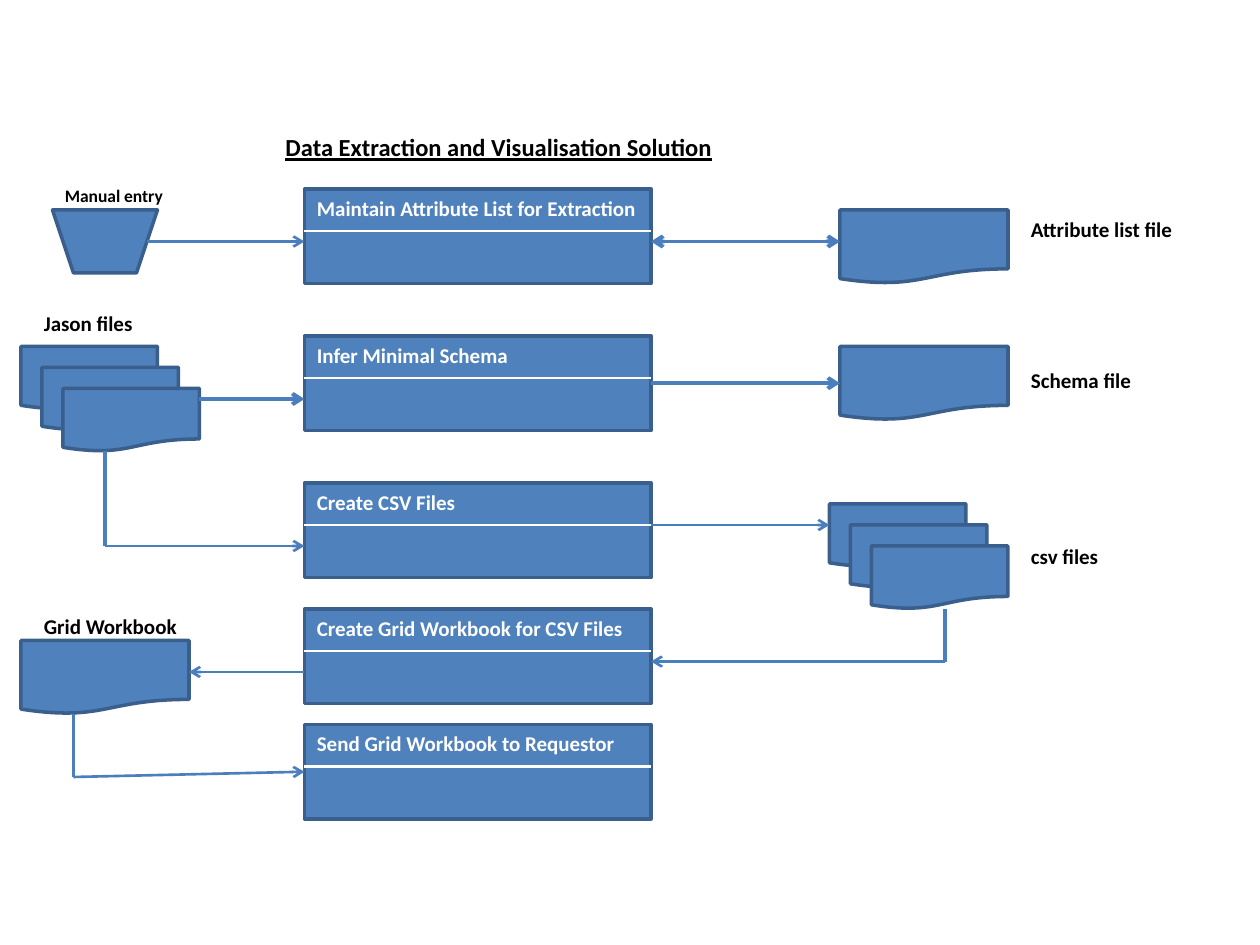
from dataclasses import dataclass

from lxml.etree import SubElement
from pptx import Presentation
from pptx.dml.color import RGBColor
from pptx.enum.shapes import MSO_CONNECTOR, MSO_SHAPE
from pptx.enum.text import MSO_AUTO_SIZE
from pptx.oxml.ns import qn
from pptx.util import Inches, Pt


@dataclass(frozen=True)
class Theme:
    font: str = "Calibri"
    fill: str = "4F81BD"
    outline: str = "3A5F8C"
    arrow: str = "4B7EBC"
    light: str = "FFFFFF"
    dark: str = "000000"
    title_size: float = 14
    body_size: float = 12
    small_size: float = 10
    line_height: float = 14.4
    outline_width: float = 2
    thin: float = 1.5
    thick: float = 2.25


def write_text(paragraph, text, *, size, color, font, underline=False, space_before=0):
    paragraph.space_before = Pt(space_before)
    run = paragraph.add_run()
    run.text = text
    run.font.name = font
    run.font.size = Pt(size)
    run.font.bold = True
    run.font.underline = underline
    run.font.color.rgb = RGBColor.from_string(color)


class FlowSlide:
    COLUMNS, ROWS = 120, 90

    def __init__(self, presentation, theme):
        self.theme = theme
        self.column = presentation.slide_width / self.COLUMNS
        self.row = presentation.slide_height / self.ROWS
        self.slide = presentation.slides.add_slide(presentation.slide_layouts[6])

    def place(self, column, row):
        return round(column * self.column), round(row * self.row)

    def box(self, kind, column, row, width, height):
        shape = self.slide.shapes.add_shape(
            kind, *self.place(column, row), *self.place(width, height))
        shape.shadow.inherit = False
        shape.fill.solid()
        shape.fill.fore_color.rgb = RGBColor.from_string(self.theme.fill)
        shape.line.color.rgb = RGBColor.from_string(self.theme.outline)
        shape.line.width = Pt(self.theme.outline_width)
        return shape

    def line(self, start, end, width=None, color=None, heads=()):
        connector = self.slide.shapes.add_connector(
            MSO_CONNECTOR.STRAIGHT, *self.place(*start), *self.place(*end))
        connector.line.color.rgb = RGBColor.from_string(color or self.theme.arrow)
        connector.line.width = Pt(width or self.theme.thin)
        properties = connector.element.spPr
        for head in heads:
            SubElement(properties.find(qn("a:ln")), qn(f"a:{head}"), type="arrow")
        SubElement(properties, qn("a:effectLst"))
        return connector

    def arrow(self, start, end, width=None):
        return self.line(start, end, width, heads=("tailEnd",))

    def text(self, lines, column, row, width, height, size=None, color=None,
             underline=False, wrap=False):
        textbox = self.slide.shapes.add_textbox(
            *self.place(column, row), *self.place(width, height))
        frame = textbox.text_frame
        frame.word_wrap = wrap
        frame.auto_size = MSO_AUTO_SIZE.SHAPE_TO_FIT_TEXT
        for index, (line, skipped_lines) in enumerate(lines):
            paragraph = frame.add_paragraph() if index else frame.paragraphs[0]
            write_text(paragraph, line, size=size or self.theme.body_size,
                       color=color or self.theme.dark, font=self.theme.font,
                       underline=underline,
                       space_before=skipped_lines * self.theme.line_height)

    def step(self, title, row, text_width):
        left, width, header = 29, 33, 4
        shape = self.box(MSO_SHAPE.RECTANGLE, left, row, width, 9)
        self.line((left, row + header), (left + width, row + header),
                  color=self.theme.light)
        self.text([(title, 0)], left, row, text_width, 3.6, color=self.theme.light)
        return shape

    def document(self, column, row, width=16, height=7):
        return self.box(MSO_SHAPE.FLOWCHART_DOCUMENT, column, row, width, height)

    def document_stack(self, column, row, count=3):
        for offset in range(0, 2 * count, 2):
            self.document(column + offset, row + offset, 13, 6)


def main():
    presentation = Presentation()
    presentation.slide_width, presentation.slide_height = Inches(10), Inches(7.5)
    theme = Theme()
    flow = FlowSlide(presentation, theme)

    flow.text([("Data Extraction and Visualisation Solution", 0)], 26, 12, 44, 4,
              size=theme.title_size, underline=True, wrap=True)

    steps = [
        flow.step(title, row, text_width)
        for title, row, text_width in (
            ("Maintain Attribute List for Extraction", 18, 33.2),
            ("Infer Minimal Schema", 32, 21.2),
            ("Create CSV Files", 46, 15.7),
            ("Create Grid Workbook for CSV Files", 58, 32.8),
            ("Send Grid Workbook to Requestor", 69, 32.6),
        )
    ]

    flow.box(MSO_SHAPE.FLOWCHART_MANUAL_OPERATION, 5, 20, 10, 6)
    flow.document(80, 20)
    schema_file = flow.document(80, 33)
    flow.document(2, 61)
    flow.document_stack(2, 33)
    flow.document_stack(79, 48)

    flow.arrow((14, 23), (29, 23))
    flow.line((62, 23), (80, 23), theme.thick, heads=("headEnd", "tailEnd"))
    flow.arrow((19, 38), (29, 38), theme.thick)
    schema_arrow = flow.arrow((62, 36.5), (80, 36.5), theme.thick)
    schema_arrow.begin_connect(steps[1], 3)
    schema_arrow.end_connect(schema_file, 1)
    flow.line((10, 43), (10, 52), theme.thick)
    flow.arrow((10, 52), (29, 52))
    flow.arrow((62, 50), (79, 50))
    flow.line((90, 63), (90, 58), theme.thick)
    flow.arrow((90, 63), (62, 63))
    flow.arrow((29, 64), (18, 64))
    flow.line((7, 74), (7, 68))
    flow.arrow((7, 74), (29, 73.5)).end_connect(steps[4], 1)

    flow.text([("Attribute list file", 0), ("Schema file", 5), ("csv files", 6)],
              97, 20, 16, 35)
    flow.text([("Jason files", 0), ("Grid Workbook", 11)], 3, 29, 17, 33)
    flow.text([("Manual entry", 0)], 5, 17, 12, 3.2, size=theme.small_size)

    presentation.save("out.pptx")


if __name__ == "__main__":
    main()
